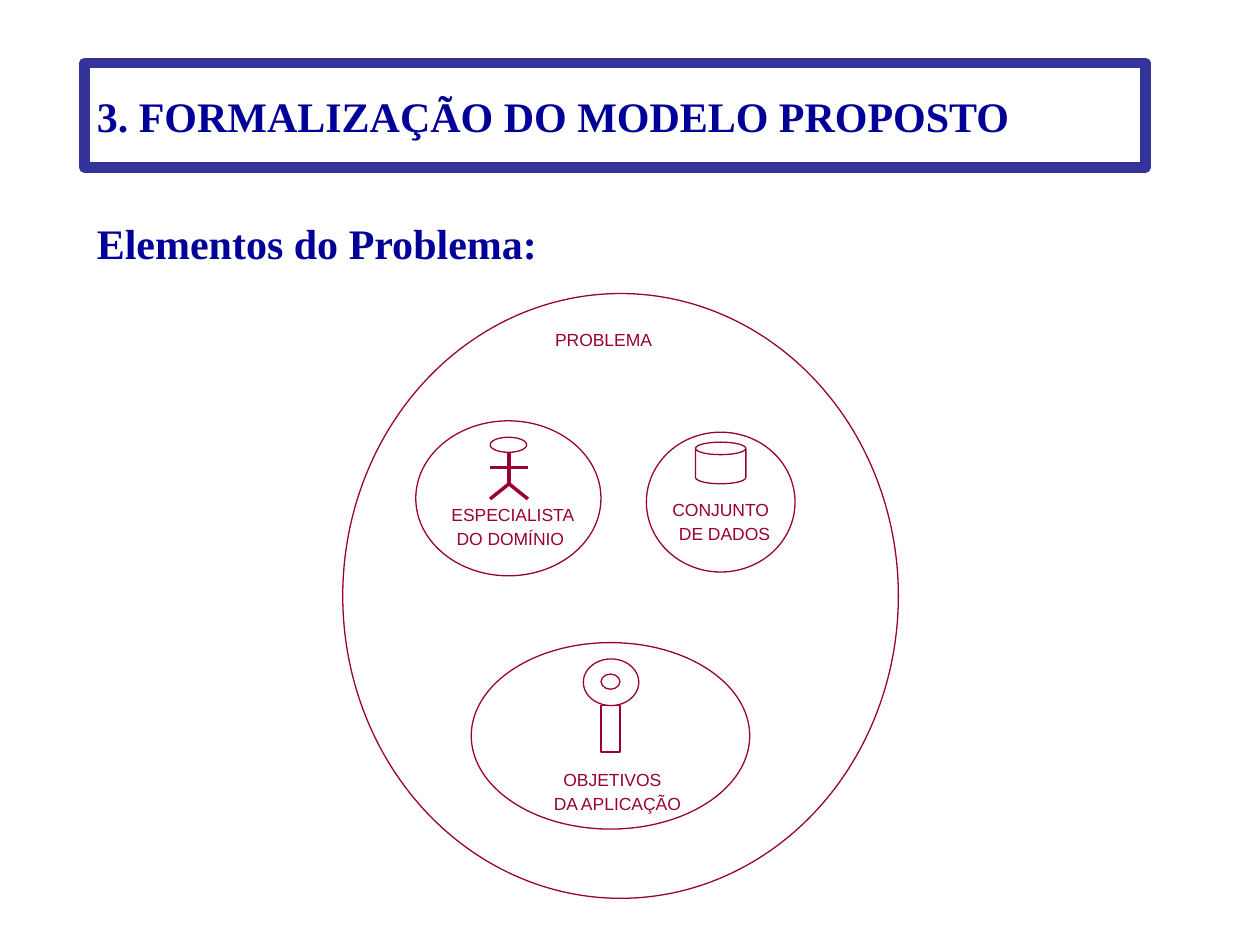
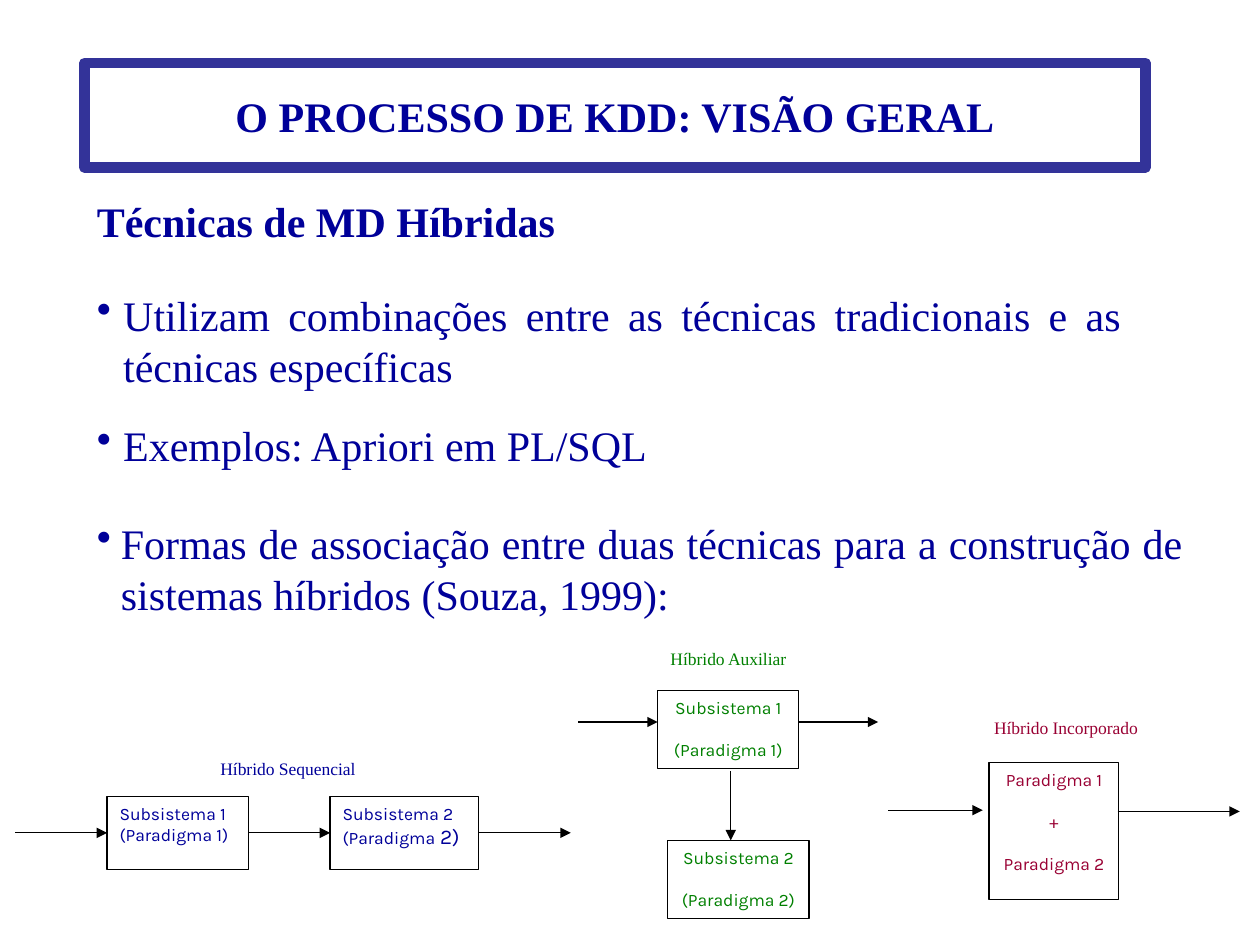
from lxml import etree
from pptx import Presentation
from pptx import util as u
from pptx.dml.color import RGBColor
from pptx.enum import shapes, text
from pptx.oxml.ns import qn

COLUMNS, ROWS = 10, 7.5
NAVY, BAND, WINE, GREEN = "000099", "333399", "990033", "008000"
BLACK, WHITE = "000000", "FFFFFF"
SERIF, SANS, KARLA = "Times New Roman", "Arial", "Karla"
LEFT, CENTER, JUSTIFY = text.PP_ALIGN.LEFT, text.PP_ALIGN.CENTER, text.PP_ALIGN.JUSTIFY
OVAL, RECT, CAN = (shapes.MSO_SHAPE.OVAL, shapes.MSO_SHAPE.RECTANGLE,
                   shapes.MSO_SHAPE.CAN)
HAIRLINE, THIN, THICK = 0, 0.75, 6
MARGIN = 0.67
SIDE_LEFT, SIDE_RIGHT = 1, 3


def color(value):
    return RGBColor.from_string(value)


class Board:
    """Holds the deck and its current slide; lengths are grid columns and rows."""

    def __init__(self):
        self.deck = Presentation()
        self.deck.slide_width, self.deck.slide_height = u.Inches(10), u.Inches(7.5)
        self.slide = None

    def x(self, columns):
        return round(self.deck.slide_width * columns / COLUMNS)

    def y(self, rows):
        return round(self.deck.slide_height * rows / ROWS)

    def area(self, left, top, width, height):
        return self.x(left), self.y(top), self.x(width), self.y(height)

    def new_slide(self, title, align=LEFT):
        self.slide = self.deck.slides.add_slide(self.deck.slide_layouts[6])
        box = self.shape(RECT, (MARGIN, 0.5, 8.42, 0.83), BAND, THICK)
        box.text_frame.vertical_anchor = text.MSO_ANCHOR.MIDDLE
        self.add_lines(box, [[(title, 24)]], SERIF, NAVY, align, bold=True)

    def add_lines(self, box, lines, font, ink, align=LEFT, bold=False, gap=0):
        """Fill a box with lines, each a list of (words, size) runs."""
        frame = box.text_frame
        for number, runs in enumerate(lines):
            para = frame.add_paragraph() if number else frame.paragraphs[0]
            para.alignment = align
            if number and gap:
                para.space_before = u.Pt(gap)
            for words, size in runs:
                span = para.add_run()
                span.text = words
                span.font.name, span.font.size = font, u.Pt(size)
                span.font.bold = bold
                span.font.color.rgb = color(ink)

    def shape(self, kind, area, line, weight=HAIRLINE, fill=None):
        shape = self.slide.shapes.add_shape(kind, *self.area(*area))
        shape.shadow.inherit = False
        if fill:
            shape.fill.solid()
            shape.fill.fore_color.rgb = color(fill)
        else:
            shape.fill.background()
        shape.line.color.rgb = color(line)
        shape.line.width = u.Pt(weight)
        shape.text_frame.word_wrap = True
        return shape

    def text_box(self, area, words, size=24, ink=NAVY, font=SERIF, align=LEFT,
                 bold=False, wrap=True):
        box = self.slide.shapes.add_textbox(*self.area(*area))
        box.text_frame.word_wrap = wrap
        box.text_frame.auto_size = text.MSO_AUTO_SIZE.SHAPE_TO_FIT_TEXT
        self.add_lines(box, [[(words, size)]], font, ink, align, bold)
        return box

    def bullet(self, area, words, indent):
        box = self.text_box(area, words, align=JUSTIFY)
        props = box.text_frame.paragraphs[0]._p.get_or_add_pPr()
        props.set("marL", str(u.Inches(indent)))
        props.set("indent", str(-u.Inches(indent)))
        tint = etree.SubElement(props, qn("a:buClr"))
        etree.SubElement(tint, qn("a:srgbClr"), val=NAVY)
        etree.SubElement(props, qn("a:buChar"), char="•")
        return box

    def label(self, words, middle, top):
        """One small line of text centred on a column."""
        box = self.text_box((middle - 0.55, top, 1.1, 0.17), words, 10, WINE, SANS,
                            CENTER, wrap=False)
        frame = box.text_frame
        frame.margin_left = frame.margin_right = 0
        frame.margin_top = frame.margin_bottom = 0

    def caption(self, words, area, ink):
        self.text_box(area, words, 10, ink, align=CENTER, wrap=False)

    def block(self, area, lines, ink, align=CENTER, gap=12):
        box = self.shape(RECT, area, BLACK, THIN, WHITE)
        box.text_frame.vertical_anchor = text.MSO_ANCHOR.TOP
        self.add_lines(box, lines, KARLA, ink, align, gap=gap)
        return box

    def line(self, start, end, ink=WINE, weight=HAIRLINE):
        line = self.slide.shapes.add_connector(
            shapes.MSO_CONNECTOR.STRAIGHT, self.x(start[0]), self.y(start[1]),
            self.x(end[0]), self.y(end[1]))
        line.line.color.rgb = color(ink)
        line.line.width = u.Pt(weight)
        etree.SubElement(line._element.spPr, qn("a:effectLst"))
        return line

    def arrow(self, start, end, source=None, target=None):
        """Arrow that may leave a block's right side and enter a block's left side."""
        arrow = self.line(start, end, BLACK, THIN)
        outline = arrow._element.spPr.find(qn("a:ln"))
        etree.SubElement(outline, qn("a:tailEnd"), type="triangle")
        if source:
            arrow.begin_connect(source, SIDE_RIGHT)
        if target:
            arrow.end_connect(target, SIDE_LEFT)


def problem_elements(board):
    board.new_slide("3. FORMALIZAÇÃO DO MODELO PROPOSTO")
    board.text_box((MARGIN, 1.68, 9.08, 0.5), "Elementos do Problema:", bold=True)

    problem, expert = (2.72, 2.33, 4.41, 4.8), (3.3, 3.34, 1.47, 1.23)
    dataset, goals = (5.13, 3.43, 1.18, 1.11), (3.74, 5.1, 2.21, 1.48)
    head = (3.89, 3.47, 0.29, 0.12)
    key_hole, key_ring = (4.77, 5.35, 0.15, 0.12), (4.63, 5.23, 0.44, 0.37)
    for area in (problem, expert, dataset, goals, head, key_hole, key_ring):
        board.shape(OVAL, area, WINE)
    board.shape(RECT, (4.77, 5.6, 0.15, 0.37), WINE)
    cylinder = board.shape(CAN, (5.52, 3.51, 0.4, 0.33), WINE, fill=WHITE)
    cylinder.adjustments[0] = 0.3

    spine, reach = 4.04, 0.15
    board.line((spine, 3.59), (spine, 3.84))
    for side in (-reach, reach):
        board.line((spine, 3.71), (spine + side, 3.71))
        board.line((spine, 3.84), (spine + side, 3.96))

    for words, middle, top in (
            ("PROBLEMA", 4.79, 2.61),
            ("ESPECIALISTA", 4.07, 4), ("DO DOMÍNIO", 4.05, 4.19),
            ("CONJUNTO", 5.72, 3.96), ("DE DADOS", 5.75, 4.15),
            ("OBJETIVOS", 4.86, 6.1), ("DA APLICAÇÃO", 4.9, 6.29)):
        board.label(words, middle, top)


def sequential_hybrid(board):
    board.caption("Híbrido Sequencial", (1.65, 5.97, 1.27, 0.27), NAVY)
    first = board.block((0.85, 6.32, 1.12, 0.58),
                        [[("Subsistema 1", 10)], [("(Paradigma 1)", 10)]],
                        NAVY, LEFT, gap=0)
    second = board.block((2.62, 6.32, 1.18, 0.58),
                         [[("Subsistema 2", 10)], [("(Paradigma", 10), (" 2)", 12)]],
                         NAVY, LEFT, gap=0)
    middle = 6.61
    board.arrow((0.12, middle), (0.85, middle), target=first)
    board.arrow((1.97, middle), (2.62, middle), first, second)
    board.arrow((3.8, middle), (4.53, middle), source=second)


def auxiliary_hybrid(board):
    board.caption("Híbrido Auxiliar", (5.22, 5.09, 1.12, 0.27), GREEN)
    for number, left, top in ((1, 5.22, 5.48), (2, 5.3, 6.67)):
        board.block((left, top, 1.12, 0.62),
                    [[(f"Subsistema {number}", 10)], [(f"(Paradigma {number})", 10)]],
                    GREEN)
    for start in (4.59, 6.34):
        board.arrow((start, 5.73), (start + 0.63, 5.73))
    board.arrow((5.8, 6.12), (5.8, 6.67))


def embedded_hybrid(board):
    board.caption("Híbrido Incorporado", (7.79, 5.64, 1.34, 0.27), WINE)
    board.block((7.85, 6.05, 1.03, 1.09),
                [[(words, 10)] for words in ("Paradigma 1", "+", "Paradigma 2")], WINE)
    board.arrow((7.05, 6.43), (7.8, 6.43))
    board.arrow((8.87, 6.44), (9.84, 6.44))


def hybrid_techniques(board):
    board.new_slide("O PROCESSO DE KDD: VISÃO GERAL", CENTER)
    board.text_box((MARGIN, 1.5, 8.42, 0.5), "Técnicas de MD Híbridas", bold=True)
    board.bullet((MARGIN, 2.25, 8.33, 0.9),
                 "Utilizam combinações entre as técnicas tradicionais e as "
                 "técnicas específicas", 0.21)
    board.bullet((MARGIN, 3.28, 8.33, 0.5), "Exemplos: Apriori em PL/SQL", 0.21)
    forms = board.bullet((MARGIN, 4.06, 8.82, 0.9),
                         "Formas de associação entre duas técnicas para a construção "
                         "de sistemas híbridos (Souza, 1999):", 0.19)
    forms.text_frame.vertical_anchor = text.MSO_ANCHOR.MIDDLE
    sequential_hybrid(board)
    auxiliary_hybrid(board)
    embedded_hybrid(board)


def main():
    board = Board()
    problem_elements(board)
    hybrid_techniques(board)
    board.deck.save("out.pptx")


if __name__ == "__main__":
    main()
